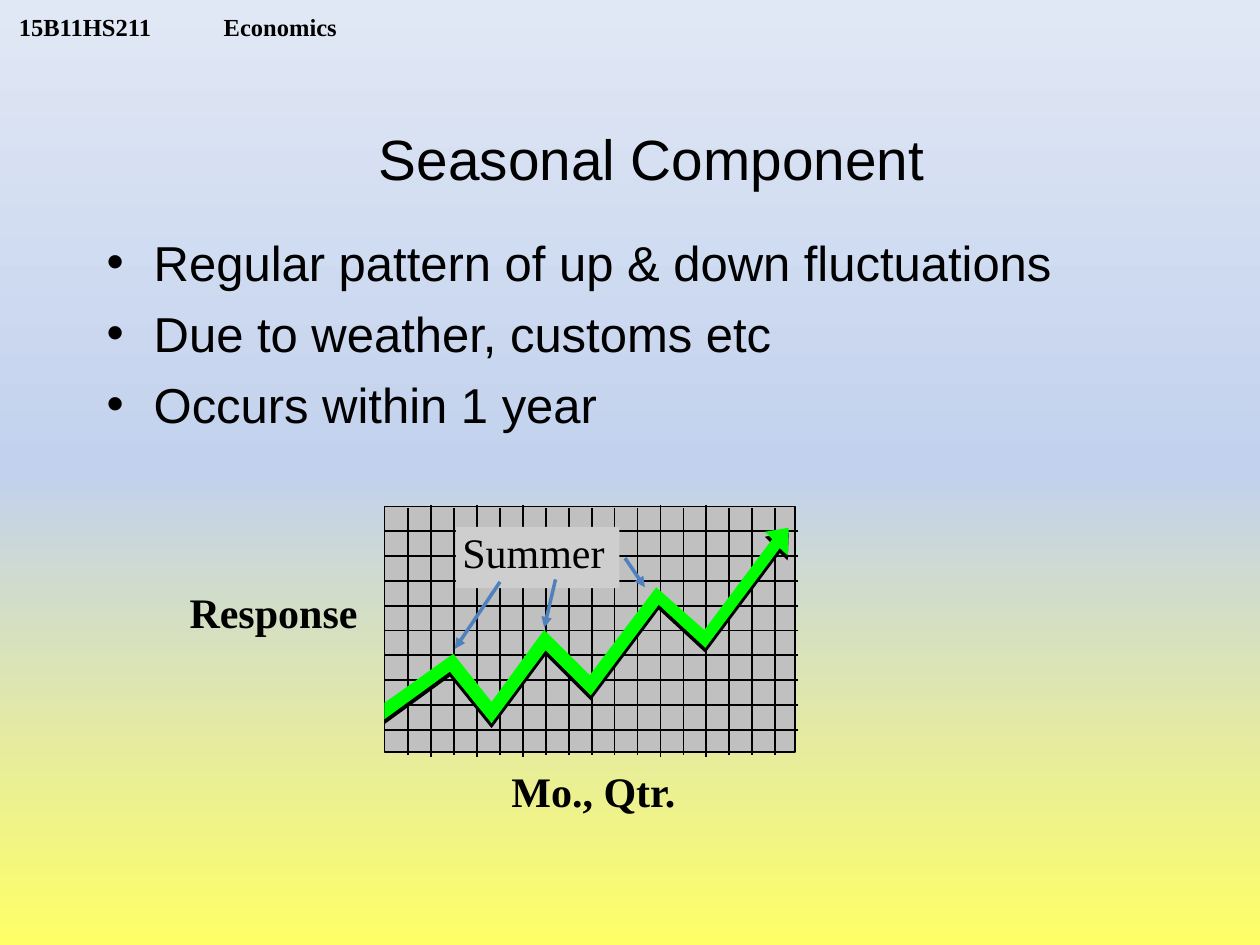
"""Build the Seasonal Component slide with its trend illustration."""
from copy import deepcopy
from dataclasses import dataclass

from lxml.etree import SubElement
from pptx import Presentation
from pptx.dml.color import RGBColor
from pptx.enum.shapes import MSO_CONNECTOR, MSO_SHAPE
from pptx.enum.text import MSO_ANCHOR, PP_ALIGN
from pptx.oxml.ns import qn
from pptx.util import Cm, Pt


@dataclass(frozen=True)
class Theme:
    black: str = "000000"
    panel: str = "C0C0C0"
    label_fill: str = "CECECE"
    trend: str = "00FF00"
    pointer: str = "4F81BD"
    background: tuple = ((0, "FFFF66"), (0.5, "C2D1ED"), (1, "E1E8F5"))
    sans: str = "Arial"
    serif: str = "Times New Roman"
    header_size: float = 14
    title_size: float = 32.4
    body_size: float = 28
    label_size: float = 24


THEME = Theme()
TREND = [
    (7.75, 14.17), (9.14, 13.18), (9.91, 14.15), (10.97, 12.7), (11.89, 13.61),
    (13.23, 11.84), (14.2, 12.7), (15.57, 10.87), (15.42, 10.72), (15.9, 10.64),
    (15.88, 11.2), (15.72, 11.05), (14.22, 13.06), (13.28, 12.19), (11.91, 14.02),
    (11, 13.11), (9.91, 14.58), (9.07, 13.54), (7.75, 14.5),
]
POINTERS = [
    (11.2, 11.68, 10.97, 12.65),
    (12.6, 11.25, 13, 11.84),
    (10.08, 11.73, 9.17, 13.08),
]
BULLETS = [
    "Regular pattern of up & down fluctuations",
    "Due to weather, customs etc",
    "Occurs within 1 year",
]


def set_background(s):
    fill = s.background.fill
    fill.gradient()
    fill.gradient_angle = 90
    gs_list = s._element.find(".//" + qn("a:gsLst"))
    gs_list.append(deepcopy(gs_list[0]))
    for stop, (position, color) in zip(fill.gradient_stops, THEME.background):
        stop.position = position
        stop.color.rgb = RGBColor.from_string(color)


def add_text(s, box, text, size, font, bold=False, align=PP_ALIGN.LEFT,
             anchor=MSO_ANCHOR.TOP, inset=(0.25, 0.13), wrap=True):
    sp = s.shapes.add_textbox(*map(Cm, box))
    tf = sp.text_frame
    tf.word_wrap = wrap
    tf.vertical_anchor = anchor
    tf.margin_left = tf.margin_right = Cm(inset[0])
    tf.margin_top = tf.margin_bottom = Cm(inset[1])
    tf.text = text
    for p in tf.paragraphs:
        p.alignment = align
        for r in p.runs:
            r.font.size = Pt(size)
            r.font.name = font
            r.font.bold = bold
            r.font.color.rgb = RGBColor.from_string(THEME.black)
    return tf


def add_tab(p, position):
    tabs = SubElement(p._p.get_or_add_pPr(), qn("a:tabLst"))
    SubElement(tabs, qn("a:tab"), pos=str(Cm(position)), algn="l")


def add_bullets(tf):
    for i, p in enumerate(tf.paragraphs):
        pPr = p._p.get_or_add_pPr()
        pPr.set("marL", str(Cm(0.95)))
        pPr.set("indent", str(-Cm(0.95)))
        SubElement(pPr, qn("a:buFont"), typeface=THEME.sans)
        SubElement(pPr, qn("a:buChar"), char="•")
        if i:
            p.space_before = Pt(7)


def paint(sp, color, outline=False):
    sp.shadow.inherit = False
    sp.fill.solid()
    sp.fill.fore_color.rgb = RGBColor.from_string(color)
    if outline:
        sp.line.color.rgb = RGBColor.from_string(THEME.black)
        sp.line.width = Pt(1)
    else:
        sp.line.fill.background()


def add_rect(shapes, box, color, outline=False):
    sp = shapes.add_shape(MSO_SHAPE.RECTANGLE, *map(Cm, box))
    paint(sp, color, outline)


def add_line(shapes, ends, color, width, arrow=False):
    line = shapes.add_connector(MSO_CONNECTOR.STRAIGHT, *map(Cm, ends))
    line.line.color.rgb = RGBColor.from_string(color)
    line.line.width = Pt(width)
    if arrow:
        SubElement(line.line._get_or_add_ln(), qn("a:tailEnd"), type="triangle")
    SubElement(line._element.spPr, qn("a:effectLst"))


def add_grid(s):
    shapes = s.shapes.add_group_shape().shapes
    add_rect(shapes, (7.75, 10.21, 8.28, 4.95), THEME.panel, outline=True)
    for i in range(1, 18):
        x = 7.77 + 0.462 * i
        overhang = 0.05 if i in (2, 4, 6, 12, 14) else 0
        add_line(shapes, (x, 10.24 - overhang, x, 15.21 + overhang), THEME.black, 1)
    for i in range(1, 10):
        y = 10.21 + 0.5 * i
        add_line(shapes, (7.77, y, 16.08, y), THEME.black, 1)


def add_trend(s):
    shapes = s.shapes.add_group_shape().shapes
    for drop, color in ((0.1, THEME.black), (0, THEME.trend)):
        points = [(Cm(x), Cm(y + drop)) for x, y in TREND]
        builder = shapes.build_freeform(*points[0])
        builder.add_line_segments(points[1:], close=True)
        paint(builder.convert_to_shape(), color)


def main():
    prs = Presentation()
    prs.slide_width, prs.slide_height = Cm(25.4), Cm(19.05)
    s = prs.slides.add_slide(prs.slide_layouts[6])
    set_background(s)

    header = add_text(s, (0.13, 0, 8.13, 0.84), "15B11HS211\tEconomics",
                      THEME.header_size, THEME.serif, bold=True,
                      anchor=MSO_ANCHOR.BOTTOM, inset=(0.25, 0))
    add_tab(header.paragraphs[0], 4.13)
    body = add_text(s, (1.9, 4.55, 21.59, 11.43), "\n".join(BULLETS),
                    THEME.body_size, THEME.sans)
    add_bullets(body)

    add_grid(s)
    add_trend(s)
    for box, text in (((9.63, 15.29, 4.67, 1.35), "Mo., Qtr."),
                      ((3.18, 11.68, 4.67, 1.09), "Response")):
        add_text(s, box, text, THEME.label_size, THEME.serif, bold=True,
                 align=PP_ALIGN.CENTER, inset=(0.33, 0.15))
    add_rect(s.shapes, (9.19, 10.62, 3.3, 1.24), THEME.label_fill)
    for ends in POINTERS:
        add_line(s.shapes, ends, THEME.pointer, 2, arrow=True)
    add_text(s, (2.34, 2.34, 21.59, 1.7), "Seasonal Component",
             THEME.title_size, THEME.sans, align=PP_ALIGN.CENTER,
             anchor=MSO_ANCHOR.MIDDLE)
    add_text(s, (9.07, 10.49, 3.38, 1.27), "Summer",
             THEME.label_size, THEME.serif, wrap=False)

    prs.save("out.pptx")


if __name__ == "__main__":
    main()
